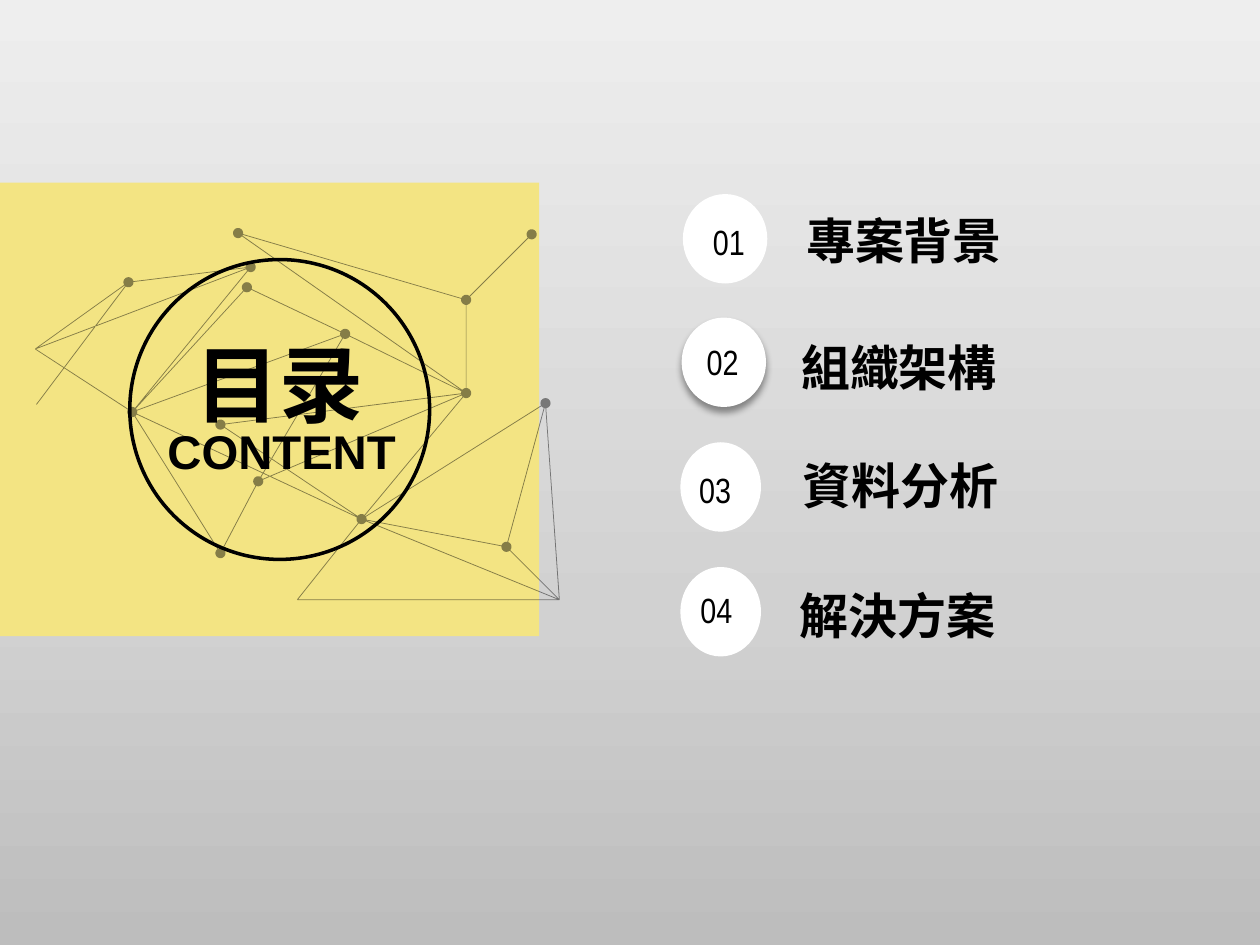
from math import cos, hypot, pi, sin

from lxml import etree
from pptx import Presentation
from pptx.dml.color import RGBColor
from pptx.enum.shapes import MSO_SHAPE
from pptx.enum.text import MSO_AUTO_SIZE, PP_ALIGN
from pptx.oxml.ns import qn
from pptx.util import Inches, Pt

RECT, OVAL = MSO_SHAPE.RECTANGLE, MSO_SHAPE.OVAL
GROW = MSO_AUTO_SIZE.SHAPE_TO_FIT_TEXT
LEFT, CENTER = PP_ALIGN.LEFT, PP_ALIGN.CENTER

COLORS = {"ink": "000000", "panel": "F3E483", "badge": "FFFFFF"}
BACKDROP_STOPS = [(0, "BDBDBD"), (35, "D1D1D1"), (100, "EEEEEE")]

# Agenda: number, number position, badge box, title, title position
AGENDA = [
    ("01", (5.56, 1.70), (5.42, 1.54, 0.67, 0.71), "專案背景", (6.30, 1.62)),
    ("02", (5.51, 2.65), (5.41, 2.52, 0.67, 0.71), "組織架構", (6.26, 2.63)),
    ("03", (5.45, 3.67), (5.40, 3.51, 0.64, 0.71), "資料分析", (6.27, 3.57)),
    ("04", (5.46, 4.62), (5.40, 4.50, 0.64, 0.71), "解決方案", (6.25, 4.60)),
]
RAISED_BADGE = "02"

# Network: dots, bare corners, and the edges between them
DOTS = {
    "A": (4.33, 3.20), "B": (3.70, 3.12), "C": (3.70, 2.38), "D": (4.22, 1.86),
    "E": (1.89, 1.85), "F": (2.74, 2.65), "G": (1.96, 2.28), "H": (1.99, 2.12),
    "I": (1.02, 2.24), "J": (1.05, 3.27), "K": (1.75, 4.39), "L": (2.05, 3.82),
    "M": (2.87, 4.12), "N": (4.02, 4.34), "O": (1.75, 3.37),
}
CORNERS = {"P": (0.28, 2.77), "Q": (0.29, 3.21), "R": (2.36, 4.76), "S": (4.44, 4.76)}
EDGES = ("AS AM AN MB BC CD CE EB BF FG GJ JH HI IP PJ IQ PH JK KL LF "
         "LB JM OM OB JF MR RS MS MN NS").split()
DOT_RADIUS, EDGE_WIDTH, DOT_SIDES = 0.04, 0.006, 24


def rgb(name):
    return RGBColor.from_string(COLORS[name])


def add_figure(slide, kind, box, fill=None, line=None):
    shape = slide.shapes.add_shape(kind, *map(Inches, box))
    shape.shadow.inherit = False
    if fill:
        shape.fill.solid()
        shape.fill.fore_color.rgb = rgb(fill)
    else:
        shape.fill.background()
    if line:
        shape.line.color.rgb = rgb(line)
        shape.line.width = Pt(2)
    else:
        shape.line.fill.background()
    return shape


def add_text(slide, text, box, size, font, bold=False, align=LEFT, wrap=False):
    frame = slide.shapes.add_textbox(*map(Inches, box)).text_frame
    frame.word_wrap = wrap
    frame.auto_size = GROW
    para = frame.paragraphs[0]
    para.alignment = align
    span = para.add_run()
    span.text = text
    span.font.size = Pt(size)
    span.font.name = font
    span.font.bold = bold
    span.font.color.rgb = rgb("ink")
    etree.SubElement(span.font._element, qn("a:ea"), typeface=font)


def set_gradient(shape, stops):
    shape.fill.gradient()
    gradient = shape._element.spPr.find(qn("a:gradFill"))
    for child in list(gradient):
        gradient.remove(child)
    stop_list = etree.SubElement(gradient, qn("a:gsLst"))
    for position, color in stops:
        stop = etree.SubElement(stop_list, qn("a:gs"), pos=str(position * 1000))
        etree.SubElement(stop, qn("a:srgbClr"), val=color)
    etree.SubElement(gradient, qn("a:lin"), ang=str(270 * 60000), scaled="0")


def set_alpha(color_element, percent):
    etree.SubElement(color_element, qn("a:alpha"), val=str(percent * 1000))


def add_shadow(shape, blur, distance, percent):
    effects = shape._element.spPr.find(qn("a:effectLst"))
    shadow = etree.SubElement(effects, qn("a:outerShdw"), blurRad=str(Pt(blur)),
                              dist=str(Pt(distance)), dir=str(90 * 60000), rotWithShape="0")
    color = etree.SubElement(shadow, qn("a:srgbClr"), val=COLORS["ink"])
    set_alpha(color, percent)


def dot_outline(center):
    x, y = center
    angles = [2 * pi * side / DOT_SIDES for side in range(DOT_SIDES)]
    return [(x + DOT_RADIUS * cos(a), y + DOT_RADIUS * sin(a)) for a in angles]


def edge_outline(start, end):
    """Thin strip between two nodes that stops at the rim of each dot."""
    nodes = DOTS | CORNERS
    (x1, y1), (x2, y2) = nodes[start], nodes[end]
    length = hypot(x2 - x1, y2 - y1)
    ux, uy = (x2 - x1) / length, (y2 - y1) / length
    trim1, trim2 = (DOT_RADIUS if name in DOTS else 0 for name in (start, end))
    x1, y1 = x1 + ux * trim1, y1 + uy * trim1
    x2, y2 = x2 - ux * trim2, y2 - uy * trim2
    dx, dy = -uy * EDGE_WIDTH / 2, ux * EDGE_WIDTH / 2
    return [(x1 + dx, y1 + dy), (x2 + dx, y2 + dy), (x2 - dx, y2 - dy), (x1 - dx, y1 - dy)]


def add_network(slide):
    outlines = [dot_outline(center) for center in DOTS.values()]
    outlines += [edge_outline(*edge) for edge in EDGES]
    builder = None
    for outline in outlines:
        first, *rest = [(Inches(x), Inches(y)) for x, y in outline]
        if builder is None:
            builder = slide.shapes.build_freeform(*first)
        else:
            builder.move_to(*first)
        builder.add_line_segments(rest, close=True)
    network = builder.convert_to_shape()
    network.shadow.inherit = False
    network.line.fill.background()
    network.fill.solid()
    network.fill.fore_color.rgb = rgb("ink")
    set_alpha(network._element.spPr.find(qn("a:solidFill"))[0], 45)


def main():
    deck = Presentation()
    deck.slide_width, deck.slide_height = Inches(10), Inches(7.5)
    slide = deck.slides.add_slide(deck.slide_layouts[6])

    # Backdrop and title panel
    backdrop = add_figure(slide, RECT, (0, 0, 10, 7.5))
    set_gradient(backdrop, BACKDROP_STOPS)
    add_figure(slide, RECT, (0, 1.45, 4.28, 3.6), fill="panel")
    add_figure(slide, OVAL, (1.03, 2.06, 2.38, 2.38), line="ink")
    add_network(slide)
    add_text(slide, "目录", (1.21, 2.59, 2.01, 0.91), 48, "Calibri", True, CENTER, True)
    add_text(slide, "CONTENT", (1.19, 3.3, 2.09, 0.56), 27, "Arial", True, CENTER)

    # Agenda badges and titles
    for number, number_at, badge_box, title, title_at in AGENDA:
        badge = add_figure(slide, OVAL, badge_box, fill="badge")
        if number == RAISED_BADGE:
            add_shadow(badge, 4, 3, 40)
        add_text(slide, number, (*number_at, 0.72, 0.72), 20, "Arial Narrow")
        add_text(slide, title, (*title_at, 1.77, 0.57), 28, "Noto Sans CJK SC", True)

    deck.save("out.pptx")


if __name__ == "__main__":
    main()
